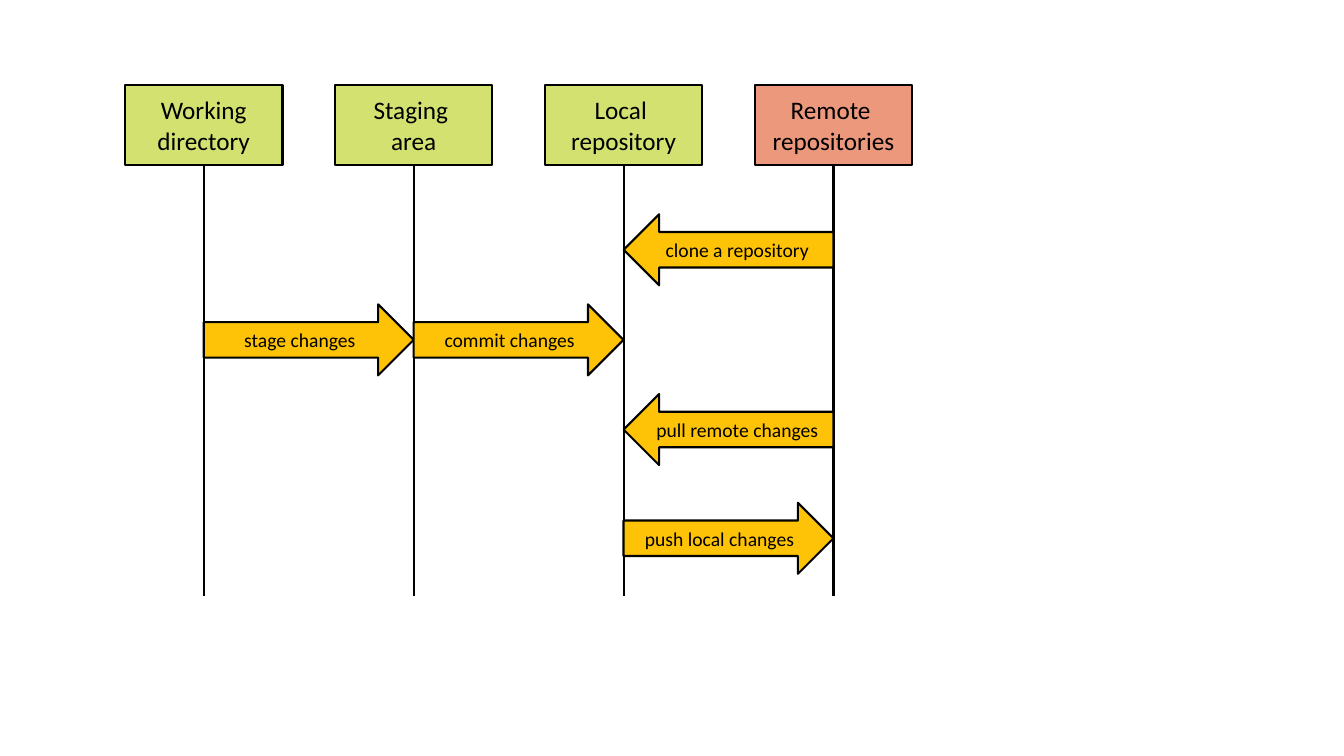
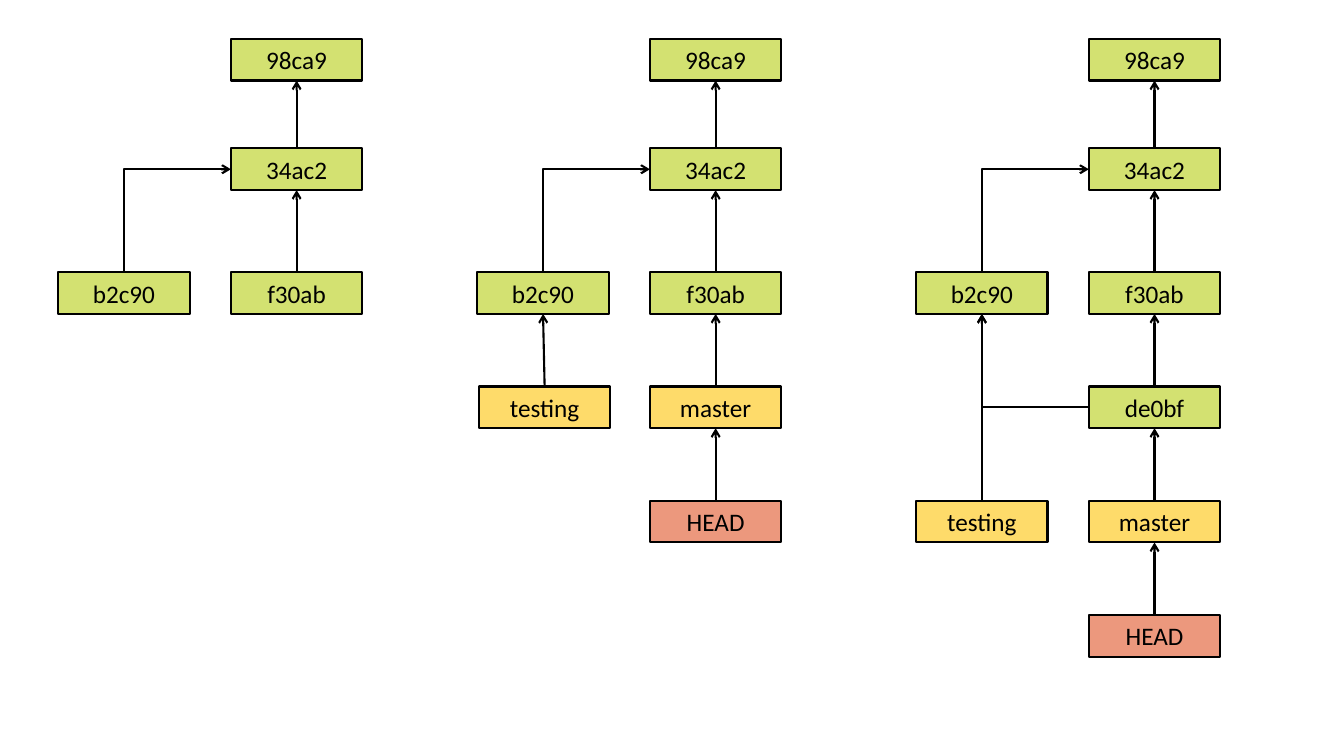
from dataclasses import dataclass

from lxml import etree
from pptx import Presentation
from pptx.dml.color import RGBColor
from pptx.enum.shapes import MSO_CONNECTOR, MSO_SHAPE
from pptx.enum.text import MSO_ANCHOR, PP_ALIGN
from pptx.oxml.ns import qn
from pptx.util import Cm, Pt

RECT = MSO_SHAPE.RECTANGLE
LEFT_ARROW, RIGHT_ARROW = MSO_SHAPE.LEFT_ARROW, MSO_SHAPE.RIGHT_ARROW
STRAIGHT, ELBOW = MSO_CONNECTOR.STRAIGHT, MSO_CONNECTOR.ELBOW
CENTER, MIDDLE = PP_ALIGN.CENTER, MSO_ANCHOR.MIDDLE
TOP, LEFT, BOTTOM = 0, 1, 2  # connection sites of a rectangle


@dataclass(frozen=True)
class Theme:
    ink: RGBColor = RGBColor.from_string("000000")
    green: RGBColor = RGBColor.from_string("D3E171")
    red: RGBColor = RGBColor.from_string("EC987D")
    amber: RGBColor = RGBColor.from_string("FEC306")
    yellow: RGBColor = RGBColor.from_string("FEDB6A")
    font: str = "Calibri"
    box_size: Pt = Pt(18)
    arrow_size: Pt = Pt(14)
    line_width: Pt = Pt(1.5)


THEME = Theme()

# Sequence diagram, lengths in cm
LANES = [
    ("Working directory", THEME.green),
    ("Staging \narea", THEME.green),
    ("Local \nrepository", THEME.green),
    ("Remote \nrepositories", THEME.red),
]
LANE_X, LANE_Y, LANE_W, LANE_H = 3.15, 2.14, 3.97, 2.02
LANE_PITCH, LIFELINE_END = 5.29, 15.02
ACTION_H = 1.79
ACTIONS = [  # label, lane at the left end, top, shape
    ("stage changes", 0, 7.67, RIGHT_ARROW),
    ("commit changes", 1, 7.67, RIGHT_ARROW),
    ("clone a repository", 2, 5.4, LEFT_ARROW),
    ("pull remote changes", 2, 9.93, LEFT_ARROW),
    ("push local changes", 2, 12.67, RIGHT_ARROW),
]

# Commit histories, lengths in cm
NODE_W, NODE_H, BRANCH_SHIFT = 3.31, 1.05, 4.35
ROWS = [0.98, 3.74] + [6.86 + 2.88 * i for i in range(4)]
COMMITS = [  # label, row, shift from the main column, fill
    ("98ca9", 0, 0, THEME.green),
    ("34ac2", 1, 0, THEME.green),
    ("f30ab", 2, 0, THEME.green),
    ("b2c90", 2, -BRANCH_SHIFT, THEME.green),
]
COMMIT_LINKS = [("34ac2", "98ca9"), ("f30ab", "34ac2")]  # child, parent
HISTORIES = [  # main column, further nodes, further links
    (5.82, [], []),
    (16.38,
     [("master", 3, 0, THEME.yellow),
      ("testing", 3, 0.04 - BRANCH_SHIFT, THEME.yellow),
      ("HEAD", 4, 0, THEME.red)],
     [("testing", "b2c90"), ("master", "f30ab"), ("HEAD", "master")]),
    (27.44,
     [("de0bf", 3, 0, THEME.green),
      ("master", 4, 0, THEME.yellow),
      ("testing", 4, -BRANCH_SHIFT, THEME.yellow),
      ("HEAD", 5, 0, THEME.red)],
     [("testing", "b2c90"), ("de0bf", "f30ab"), ("master", "de0bf"),
      ("HEAD", "master")]),
]


def style_line(line):
    line.color.rgb = THEME.ink
    line.width = THEME.line_width


def add_label_shape(s, kind, box, label, fill, size=THEME.box_size):
    """Add a filled, outlined shape with a centred label; box is in cm."""
    sp = s.shapes.add_shape(kind, *map(Cm, box))
    sp.shadow.inherit = False
    sp.fill.solid()
    sp.fill.fore_color.rgb = fill
    style_line(sp.line)
    tf = sp.text_frame
    tf.word_wrap = True
    tf.vertical_anchor = MIDDLE
    p = tf.paragraphs[0]
    p.text = label
    p.alignment = CENTER
    text_format = {"name": THEME.font, "size": size}
    for r in p.runs:
        for name, value in text_format.items():
            setattr(r.font, name, value)
        r.font.color.rgb = THEME.ink
    return sp


def add_line(s, start, site, kind=STRAIGHT):
    """Add a connector that begins at a connection site of start."""
    line = s.shapes.add_connector(kind, 0, 0, 0, 0)
    line.begin_connect(start, site)
    style_line(line.line)
    etree.SubElement(line.element.spPr, qn("a:effectLst"))
    return line


def add_arrowhead(line, end):
    """Put an open arrowhead at "headEnd" (start) or "tailEnd"."""
    ln = line.element.spPr.find(qn("a:ln"))
    etree.SubElement(ln, qn(f"a:{end}"), type="arrow")


def add_link(s, child, parent):
    line = add_line(s, child, TOP)
    line.end_connect(parent, BOTTOM)
    add_arrowhead(line, "tailEnd")


def add_bend(s, side_node, other, site, end):
    """Link the left of side_node to a site of other with one right angle."""
    line = add_line(s, side_node, LEFT, ELBOW)
    line.end_connect(other, site)
    geometry = line.element.spPr.find(qn("a:prstGeom"))
    geometry.set("prst", "bentConnector2")
    add_arrowhead(line, end)


def build_sequence(s):
    for i, (label, fill) in enumerate(LANES):
        x = LANE_X + i * LANE_PITCH
        box = add_label_shape(s, RECT, (x, LANE_Y, LANE_W, LANE_H), label, fill)
        lifeline = add_line(s, box, BOTTOM)
        lifeline.end_x, lifeline.end_y = lifeline.begin_x, Cm(LIFELINE_END)
    for label, lane, y, kind in ACTIONS:
        x = LANE_X + LANE_W / 2 + lane * LANE_PITCH
        add_label_shape(s, kind, (x, y, LANE_PITCH, ACTION_H), label,
                        THEME.amber, THEME.arrow_size)


def build_history(s, x, extra_nodes, extra_links):
    nodes = {}
    for label, row, shift, fill in COMMITS + extra_nodes:
        box = (x + shift, ROWS[row], NODE_W, NODE_H)
        nodes[label] = add_label_shape(s, RECT, box, label, fill)
    for child, parent in COMMIT_LINKS + extra_links:
        add_link(s, nodes[child], nodes[parent])
    add_bend(s, nodes["34ac2"], nodes["b2c90"], TOP, "headEnd")
    if "de0bf" in nodes:
        add_bend(s, nodes["de0bf"], nodes["b2c90"], BOTTOM, "tailEnd")


def main():
    prs = Presentation()
    prs.slide_width, prs.slide_height = Cm(33.87), Cm(19.05)
    blank = prs.slide_layouts[6]
    build_sequence(prs.slides.add_slide(blank))
    s = prs.slides.add_slide(blank)
    for history in HISTORIES:
        build_history(s, *history)
    prs.save("out.pptx")


if __name__ == "__main__":
    main()
